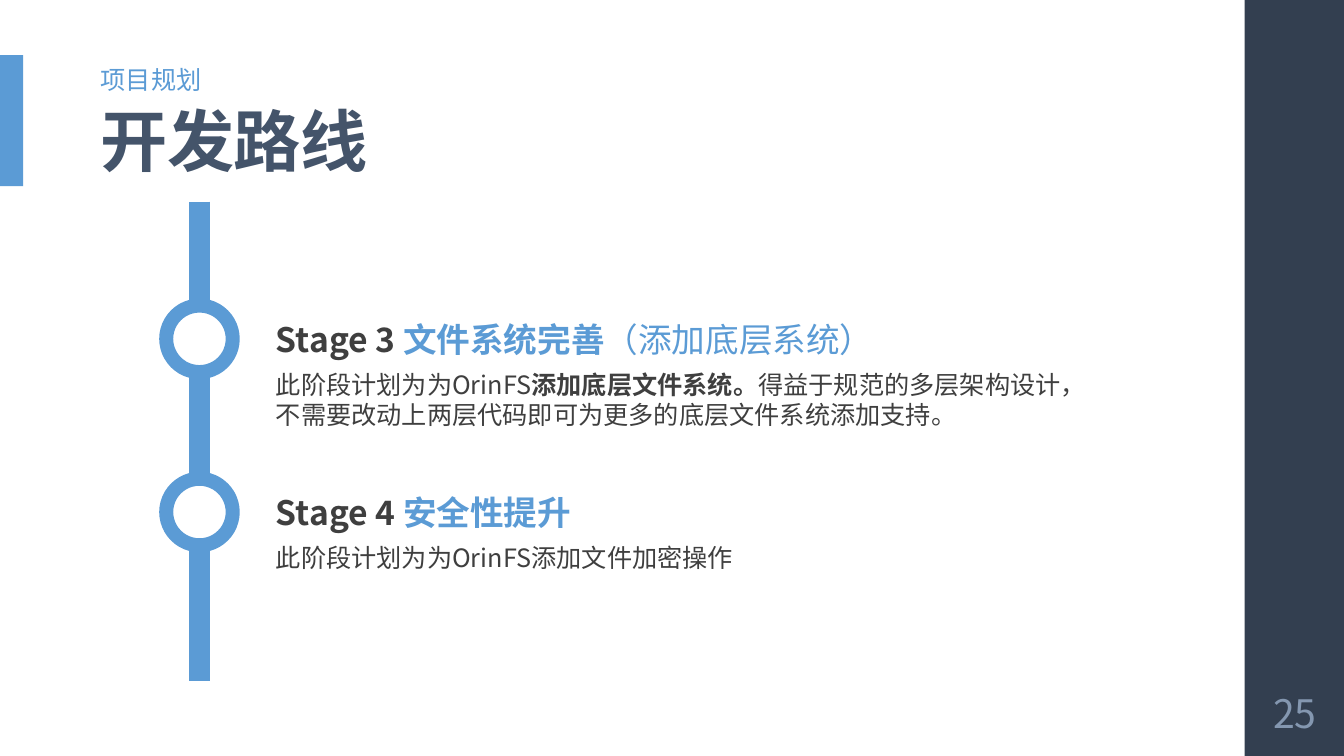
from dataclasses import dataclass

from lxml import etree
from pptx import Presentation
from pptx.dml.color import RGBColor
from pptx.enum.shapes import MSO_CONNECTOR, MSO_SHAPE
from pptx.enum.text import MSO_ANCHOR, PP_ALIGN
from pptx.oxml.ns import qn
from pptx.util import Pt


@dataclass(frozen=True)
class Theme:
    font: str = "Noto Sans CJK SC"
    blue: RGBColor = RGBColor(0x5B, 0x9B, 0xD5)
    navy: RGBColor = RGBColor(0x33, 0x3F, 0x50)
    slate: RGBColor = RGBColor(0x44, 0x54, 0x6A)
    mist: RGBColor = RGBColor(0x84, 0x97, 0xB0)
    ink: RGBColor = RGBColor(0x3F, 0x3F, 0x3F)
    white: RGBColor = RGBColor(0xFF, 0xFF, 0xFF)
    title: int = 48
    number: int = 28
    heading: int = 24
    body: int = 18


theme = Theme()


def write(box, bounds, size, spans, anchor=MSO_ANCHOR.TOP, spacing=None):
    """Place a box and fill its paragraph with (text, colour, bold) spans."""
    box.left, box.top, box.width, box.height = map(Pt, bounds)
    frame = box.text_frame
    frame.word_wrap = True
    frame.vertical_anchor = anchor
    para = frame.paragraphs[0]
    para.alignment = PP_ALIGN.LEFT
    for text, colour, bold in spans:
        span = para.add_run()
        span.text = text
        font = span.font
        font.name, font.size, font.bold = theme.font, Pt(size), bold
        font.color.rgb = colour
        props = span._r.get_or_add_rPr()
        etree.SubElement(props, qn("a:ea")).set("typeface", theme.font)
        if spacing is not None:
            props.set("spc", str(spacing))
    return para


def add_shape(kind, bounds, fill):
    shape = page.shapes.add_shape(kind, *map(Pt, bounds))
    shape.shadow.inherit = False
    shape.fill.solid()
    shape.fill.fore_color.rgb = fill
    shape.line.fill.background()
    return shape


deck = Presentation()
deck.slide_width, deck.slide_height = Pt(960), Pt(540)
page = deck.slides.add_slide(deck.slide_layouts[5])

# Side band, accent bar and headings
add_shape(MSO_SHAPE.RECTANGLE, (889, 0, 71, 540), theme.navy)
add_shape(MSO_SHAPE.RECTANGLE, (0, 39.5, 16.5, 93.5), theme.blue)

title = write(page.shapes.title, (64.8, 74.9, 767.5, 58.3), theme.title,
              [("开发路线", theme.slate, True)], MSO_ANCHOR.BOTTOM, -50)
title.line_spacing = 0.9

section = write(page.shapes.add_textbox(0, 0, 0, 0), (64.8, 39.6, 767.5, 31.7),
                theme.body, [("项目规划", theme.blue, False)], MSO_ANCHOR.BOTTOM, 10)
section.line_spacing = 0.95
section.space_after = Pt(2)

number_box = page.shapes.add_textbox(0, 0, 0, 0)
number = write(number_box, (889, 486, 72, 46.8), theme.number,
               [("25", theme.mist, False)], MSO_ANCHOR.MIDDLE)
number.alignment = PP_ALIGN.CENTER
number_box.text_frame.margin_left = number_box.text_frame.margin_right = Pt(3.6)

# Timeline
axis_x, ring = 142.5, 47.5
trunk = page.shapes.add_connector(
    MSO_CONNECTOR.STRAIGHT, Pt(axis_x), Pt(144), Pt(axis_x), Pt(486.7))
trunk.line.color.rgb = theme.blue
trunk.line.width = Pt(15)
etree.SubElement(trunk._element.spPr, qn("a:effectLst"))

stages = [
    ([("Stage 3 ", theme.ink, True), ("文件系统完善", theme.blue, True),
      ("（添加底层系统）", theme.blue, False)],
     [("此阶段计划为为OrinFS", theme.ink, False),
      ("添加底层文件系统。", theme.ink, True),
      ("得益于规范的多层架构设计，不需要改动上两层代码即可为更多的底层文件系统添加支持。",
       theme.ink, False)], 51),
    ([("Stage 4 ", theme.ink, True), ("安全性提升", theme.blue, True)],
     [("此阶段计划为为OrinFS添加文件加密操作", theme.ink, False)], 29),
]
for index, (heading, body, body_height) in enumerate(stages):
    top = 218.3 + index * 123.7
    node = add_shape(MSO_SHAPE.OVAL, (axis_x - ring / 2, top, ring, ring), theme.white)
    node.line.color.rgb = theme.blue
    node.line.width = Pt(10)
    write(page.shapes.add_textbox(0, 0, 0, 0), (190, top + 5.8, 481, 36.3),
          theme.heading, heading)
    write(page.shapes.add_textbox(0, 0, 0, 0), (190, top + 42, 593, body_height),
          theme.body, body)

deck.save("out.pptx")
